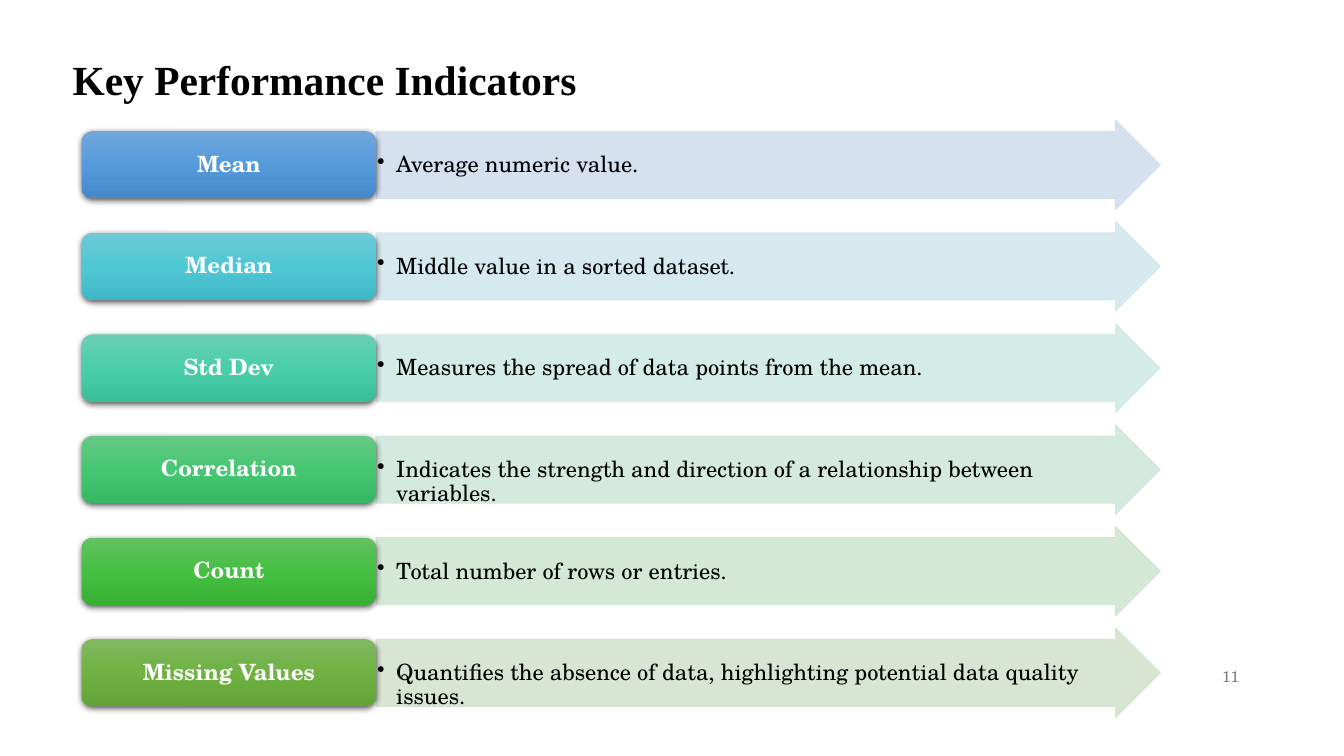
from lxml.etree import SubElement
from pptx import Presentation
from pptx.dml.color import RGBColor
from pptx.enum.shapes import MSO_SHAPE
from pptx.enum.text import MSO_ANCHOR, PP_ALIGN
from pptx.oxml.ns import qn
from pptx.util import Inches, Pt

TITLE = "Key Performance Indicators"
PAGE = "11"
# label, description, label gradient, arrow colour
INDICATORS = [
    ("Mean", "Average numeric value.",
     ("71A6DB", "559BDB", "448ACA"), "D2DEEF"),
    ("Median", "Middle value in a sorted dataset.",
     ("6DCAD5", "4FC7D5", "3FB7C4"), "D1E7ED"),
    ("Std Dev", "Measures the spread of data points from the mean.",
     ("69CFB1", "4ACEAA", "3BBE9A"), "D0EBE6"),
    ("Correlation", "Indicates the strength and direction of a relationship between variables.",
     ("66C885", "45C772", "37B764"), "D0E8DB"),
    ("Count", "Total number of rows or entries.",
     ("64C162", "44BF41", "37B034"), "CFE6D1"),
    ("Missing Values", "Quantifies the absence of data, highlighting potential data quality issues.",
     ("81B861", "6FB242", "62A336"), "D5E3CF"),
]
FONT = "TeX Gyre Schola"
LEFT, LABEL_W, ARROW_W = 0.81, 2.92, 7.78
FIRST_TOP, LAST_TOP = 1.19, 6.23
ARROW_H, SHAFT = 0.89, 0.75
LABEL_H = ARROW_H * SHAFT
PITCH = (LAST_TOP - FIRST_TOP) / (len(INDICATORS) - 1)


def rgb(value):
    return RGBColor.from_string(value)


def sub(parent, tag, **attrs):
    return SubElement(parent, qn(tag), {k: str(v) for k, v in attrs.items()})


def write(shape, text, size, color, font=FONT, bold=False, anchor=MSO_ANCHOR.MIDDLE,
          align=PP_ALIGN.LEFT, spacing=0.9, margins=(0, 0, 0, 0), wrap=True):
    tf = shape.text_frame
    tf.text = text
    tf.word_wrap, tf.vertical_anchor = wrap, anchor
    tf.margin_left, tf.margin_top, tf.margin_right, tf.margin_bottom = map(Inches, margins)
    p = tf.paragraphs[0]
    p.alignment, p.line_spacing = align, spacing
    f = p.runs[0].font
    f.name, f.size, f.bold, f.color.rgb = font, Pt(size), bold, rgb(color)
    return p


def add_shape(kind, x, y, w, h):
    shape = s.shapes.add_shape(kind, *map(Inches, (x, y, w, h)))
    shape.shadow.inherit = False
    return shape


def add_arrow(text, color, y):
    arrow = add_shape(MSO_SHAPE.RIGHT_ARROW, LEFT + LABEL_W, y, ARROW_W, ARROW_H)
    arrow.adjustments[0], arrow.adjustments[1] = SHAFT, 0.5
    arrow.fill.solid()
    arrow.fill.fore_color.rgb = arrow.line.color.rgb = rgb(color)
    arrow.line.width = Pt(0.5)
    for clr in arrow.element.spPr.iter(qn("a:srgbClr")):
        sub(clr, "a:alpha", val=90000)
    p = write(arrow, text, 16, "000000", anchor=MSO_ANCHOR.TOP,
              margins=(0.01, 0.22, 0.01, 0.01))
    pPr = p._p.get_or_add_pPr()
    pPr.set("marL", str(Inches(0.19)))
    pPr.set("indent", str(-Inches(0.19)))
    sub(pPr, "a:buChar", char="•")


def add_label(text, colors, y):
    label = add_shape(MSO_SHAPE.ROUNDED_RECTANGLE, LEFT, y, LABEL_W, LABEL_H)
    label.line.fill.background()
    label.fill.gradient()
    label.fill.gradient_angle = 270
    spPr = label.element.spPr
    stops = spPr.find(".//" + qn("a:gsLst"))
    stops.clear()
    for pos, color in zip((0, 50000, 100000), colors):
        sub(sub(stops, "a:gs", pos=pos), "a:srgbClr", val=color)
    shadow = sub(spPr.find(qn("a:effectLst")), "a:outerShdw", blurRad=Pt(4.5),
                 dist=Pt(1.5), dir=5400000, algn="ctr", rotWithShape=0)
    sub(sub(shadow, "a:srgbClr", val="000000"), "a:alpha", val=63000)
    write(label, text, 16, "FFFFFF", bold=True, align=PP_ALIGN.CENTER,
          margins=(0.07, 0.03, 0.07, 0.03))


prs = Presentation()
prs.slide_width, prs.slide_height = Inches(13.33), Inches(7.5)
s = prs.slides.add_slide(prs.slide_layouts[5])

# Title
title = s.shapes.title
title.left, title.top, title.width, title.height = map(Inches, (0.72, 0.51, 9.89, 0.52))
write(title, TITLE, 29.6, "000000", font="Times New Roman", bold=True,
      anchor=MSO_ANCHOR.TOP, spacing=Pt(37.1), wrap=False)

# Page number
number = s.shapes.add_textbox(*map(Inches, (11.96, 6.41, 0.43, 0.41)))
write(number, PAGE, 11, "797979", align=PP_ALIGN.RIGHT, spacing=2.0,
      margins=(0.1, 0.05, 0.1, 0.05))

# One row per indicator: arrow with description, then its label
for i, (name, description, gradient, tint) in enumerate(INDICATORS):
    top = FIRST_TOP + i * PITCH
    add_arrow(description, tint, top)
    add_label(name, gradient, top + (ARROW_H - LABEL_H) / 2)

prs.save("out.pptx")
